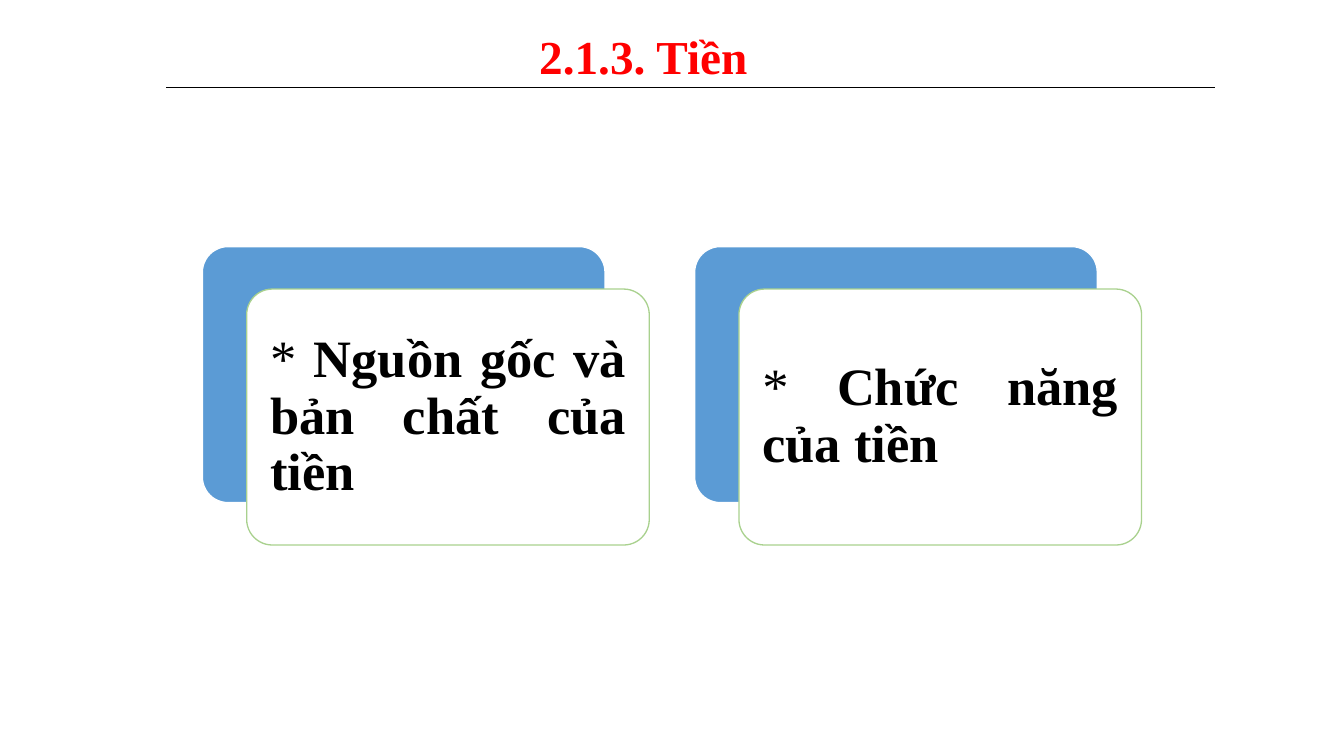
from dataclasses import dataclass

import lxml.etree
import pptx
import pptx.dml.color
import pptx.enum.shapes
import pptx.enum.text
import pptx.oxml.ns
import pptx.util

Cm = pptx.util.Cm
Pt = pptx.util.Pt
ALIGN = pptx.enum.text.PP_ALIGN


@dataclass(frozen=True)
class Theme:
    font: str = "Times New Roman"
    title: str = "FF0000"
    text: str = "000000"
    rule: str = "000000"
    blue: str = "5B9BD5"
    white: str = "FFFFFF"
    green: str = "A9D18E"
    title_size: int = 36
    card_size: int = 40


def rgb(value):
    return pptx.dml.color.RGBColor.from_string(value)


class Deck:
    def __init__(self, theme, slide):
        self.theme = theme
        self.s = slide

    def text(self, x, y, w, h, runs, size, color, align, inset=None):
        """Add a one-paragraph box; runs are (text, bold) pairs."""
        tf = self.s.shapes.add_textbox(Cm(x), Cm(y), Cm(w), Cm(h)).text_frame
        tf.word_wrap = True
        tf.vertical_anchor = pptx.enum.text.MSO_ANCHOR.MIDDLE
        if inset is not None:
            tf.margin_left = tf.margin_right = Cm(inset)
            tf.margin_top = tf.margin_bottom = Cm(inset)
        p = tf.paragraphs[0]
        p.alignment = align
        p.line_spacing = 0.9
        for content, bold in runs:
            r = p.add_run()
            r.text = content
            r.font.name = self.theme.font
            r.font.size = Pt(size)
            r.font.bold = bold
            r.font.color.rgb = rgb(color)

    def rule(self, x1, x2, y):
        line = self.s.shapes.add_connector(
            pptx.enum.shapes.MSO_CONNECTOR.STRAIGHT, Cm(x1), Cm(y), Cm(x2), Cm(y))
        line.line.color.rgb = rgb(self.theme.rule)
        line.line.width = Pt(0.5)
        lxml.etree.SubElement(line._element.spPr, pptx.oxml.ns.qn("a:effectLst"))

    def panel(self, x, y, w, h, fill, outline):
        sp = self.s.shapes.add_shape(
            pptx.enum.shapes.MSO_SHAPE.ROUNDED_RECTANGLE, Cm(x), Cm(y), Cm(w), Cm(h))
        sp.adjustments[0] = 0.1
        sp.shadow.inherit = False
        sp.fill.solid()
        sp.fill.fore_color.rgb = rgb(fill)
        sp.line.color.rgb = rgb(outline)
        sp.line.width = Pt(1)

    def card(self, x, y, label):
        """Add a white card offset over a blue backing, with its label."""
        t = self.theme
        w, h, pad = 10.82, 6.88, 0.2
        self.panel(x, y, w, h, t.blue, t.white)
        x, y = x + 1.19, y + 1.14
        self.panel(x, y, w, h, t.white, t.green)
        self.text(x + pad, y + pad, w - 2 * pad, h - 2 * pad,
                  [("* ", False), (label, True)],
                  t.card_size, t.text, ALIGN.JUSTIFY, inset=0.43)


def main():
    prs = pptx.Presentation()
    prs.slide_width, prs.slide_height = Cm(36.12), Cm(20.32)
    theme = Theme()
    deck = Deck(theme, prs.slides.add_slide(prs.slide_layouts[6]))

    deck.text(2.67, 0.41, 29.24, 2.34, [("2.1.3. Tiền", True)],
              theme.title_size, theme.title, ALIGN.CENTER)
    deck.rule(4.47, 32.66, 2.36)

    labels = ["Nguồn gốc và bản chất của tiền", "Chức năng của tiền"]
    for i, label in enumerate(labels):
        deck.card(5.44 + i * 13.23, 6.63, label)

    prs.save("out.pptx")


if __name__ == "__main__":
    main()
